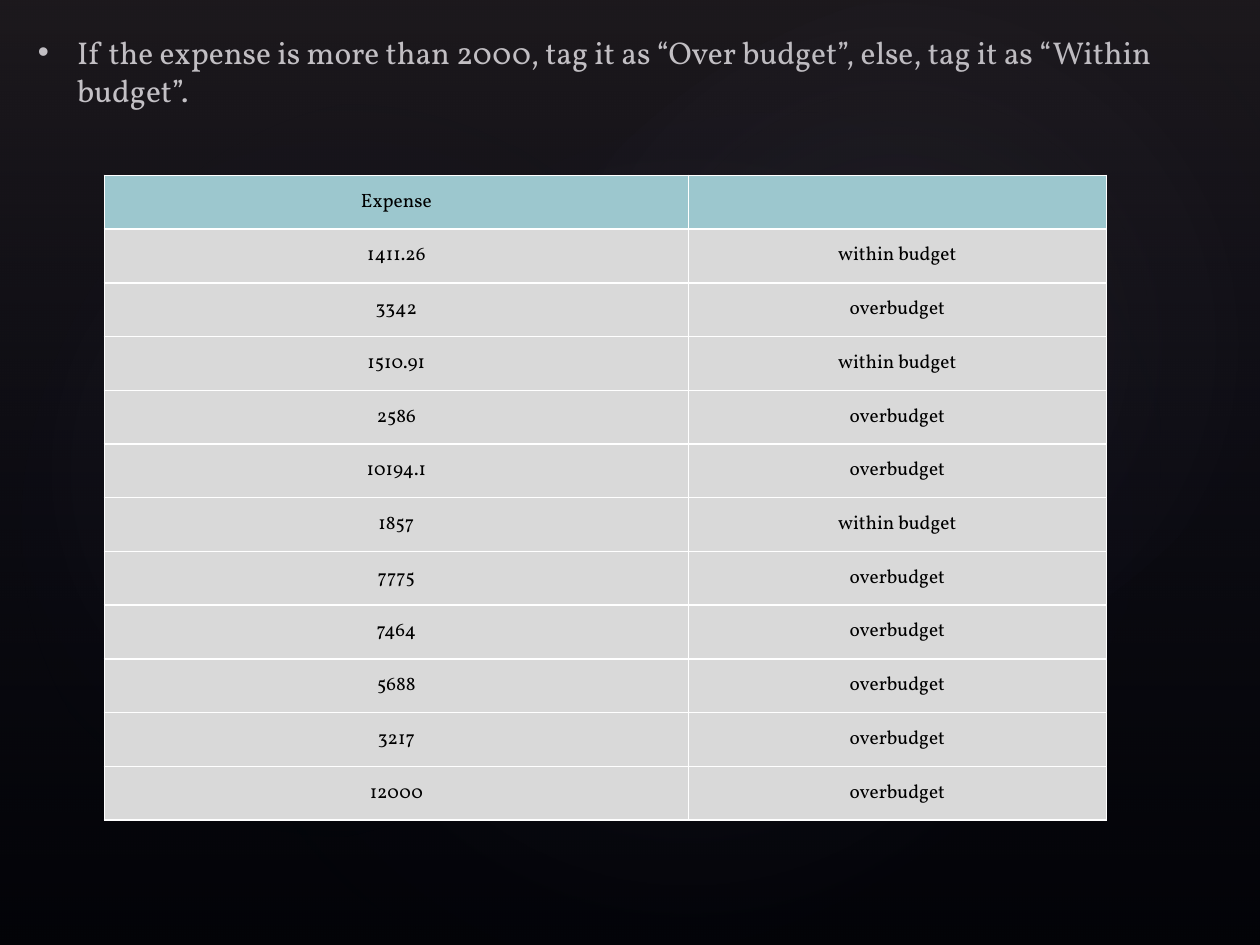
from pptx import Presentation
from pptx.dml.color import RGBColor
from pptx.enum.shapes import MSO_SHAPE
from pptx.enum.text import MSO_ANCHOR, PP_ALIGN
from pptx.oxml import parse_xml
from pptx.oxml.ns import nsdecls
from pptx.util import Pt

RECTANGLE, OVAL = MSO_SHAPE.RECTANGLE, MSO_SHAPE.OVAL
CENTER, MIDDLE, TOP = PP_ALIGN.CENTER, MSO_ANCHOR.MIDDLE, MSO_ANCHOR.TOP

COLORS = {
    "background": "000000", "haze": "504652", "navy": "242852", "glow": "C4BCC6",
    "header": "9CC7CE", "row": "D9D9D9", "border": "FFFFFF",
    "light_text": "FFFFFF", "dark_text": "000000",
}
RULE = ("If the expense is more than 2000, tag it as “Over budget”, "
        "else, tag it as “Within budget”.")
LIMIT = 2000
EXPENSES = ["1411.26", "3342", "1510.91", "2586", "10194.1", "1857",
            "7775", "7464", "5688", "3217", "12000"]
# left, top, width, height, rotation, opacity in percent
GLOWS = [
    (108, 82.1, 570.2, 449.3, 328.7, 7),
    (-21.6, 92.2, 436.3, 352.8, 294.3, 8),
    (257.8, 9.4, 510.5, 374.4, 328.7, 8),
]


def set_values(target, values):
    for name, value in values.items():
        setattr(target, name, value)


def gradient_xml(stops, direction):
    """Gradient fill from (position, color, opacity) stops, all in percent."""
    stop_xml = "".join(
        f'<a:gs pos="{position * 1000}"><a:srgbClr val="{COLORS[color]}">'
        f'<a:alpha val="{opacity * 1000}"/></a:srgbClr></a:gs>'
        for position, color, opacity in stops)
    return parse_xml(f'<a:gradFill {nsdecls("a")} rotWithShape="1">'
                     f'<a:gsLst>{stop_xml}</a:gsLst>{direction}</a:gradFill>')


class SlideBuilder:
    font_name = "Vollkorn"
    linear = '<a:lin ang="5400000" scaled="0"/>'
    radial = ('<a:path path="circle">'
              '<a:fillToRect l="50000" t="50000" r="50000" b="50000"/></a:path>')

    def __init__(self, slide):
        self.slide = slide
        fill = slide.background.fill
        fill.solid()
        fill.fore_color.rgb = RGBColor.from_string(COLORS["background"])

    def style_font(self, font, size, color):
        set_values(font, {"name": self.font_name, "size": Pt(size), "bold": False})
        font.color.rgb = RGBColor.from_string(COLORS[color])

    def gradient_shape(self, kind, frame, stops, direction, rotation=0):
        shape = self.slide.shapes.add_shape(kind, *map(Pt, frame))
        shape.rotation = rotation
        shape.shadow.inherit = False
        shape.line.fill.background()
        shape.fill.background()
        properties = shape.fill._xPr
        properties.replace(properties.find("{*}noFill"),
                           gradient_xml(stops, direction))

    def backdrop(self):
        self.gradient_shape(RECTANGLE, (0, 0, 720, 540),
                            [(0, "haze", 36), (100, "navy", 10)], self.linear)
        for *frame, rotation, opacity in GLOWS:
            self.gradient_shape(OVAL, frame, [(0, "glow", opacity), (58, "navy", 0)],
                                self.radial, rotation)

    def bullet(self, text, left, top, width, height):
        title, body = self.slide.placeholders
        title.element.getparent().remove(title.element)
        set_values(body, {"left": Pt(left), "top": Pt(top),
                          "width": Pt(width), "height": Pt(height)})
        frame = body.text_frame
        set_values(frame, {"text": text, "word_wrap": True, "vertical_anchor": TOP})
        para = frame.paragraphs[0]
        set_values(para, {"space_before": Pt(0), "space_after": Pt(0),
                          "line_spacing": 1.0})
        self.style_font(para.runs[0].font, 18, "light_text")
        properties = para._p.get_or_add_pPr()
        properties.set("marL", str(Pt(22.5)))
        properties.set("indent", str(Pt(-22.5)))
        for tag in (f'<a:buClr {nsdecls("a")}>'
                    f'<a:srgbClr val="{COLORS["light_text"]}"/></a:buClr>',
                    f'<a:buFont {nsdecls("a")} typeface="Arial"/>',
                    f'<a:buChar {nsdecls("a")} char="•"/>'):
            properties.append(parse_xml(tag))

    def cell(self, cell, text, fill):
        set_values(cell, {"text": text, "vertical_anchor": MIDDLE,
                          "margin_left": 0, "margin_right": 0,
                          "margin_top": 0, "margin_bottom": 0})
        para = cell.text_frame.paragraphs[0]
        para.alignment = CENTER
        self.style_font(para.font, 11, "dark_text")
        for run in para.runs:
            self.style_font(run.font, 11, "dark_text")
        cell.fill.solid()
        cell.fill.fore_color.rgb = RGBColor.from_string(COLORS[fill])
        properties = cell._tc.get_or_add_tcPr()
        for index, side in enumerate(("lnL", "lnR", "lnT", "lnB")):
            properties.insert(index, parse_xml(
                f'<a:{side} {nsdecls("a")} w="{Pt(1)}"><a:solidFill>'
                f'<a:srgbClr val="{COLORS["border"]}"/></a:solidFill></a:{side}>'))

    def table(self, rows, left, top, column_widths, row_height):
        table = self.slide.shapes.add_table(
            len(rows), len(column_widths), Pt(left), Pt(top),
            Pt(sum(column_widths)), Pt(row_height * len(rows))).table
        for column, width in zip(table.columns, column_widths):
            column.width = Pt(width)
        for row_index, texts in enumerate(rows):
            table.rows[row_index].height = Pt(row_height)
            for column_index, text in enumerate(texts):
                self.cell(table.cell(row_index, column_index), text,
                          "row" if row_index else "header")


def main():
    deck = Presentation()
    set_values(deck, {"slide_width": Pt(720), "slide_height": Pt(540)})
    page = SlideBuilder(deck.slides.add_slide(deck.slide_layouts[1]))
    page.backdrop()
    page.bullet(RULE, 14.4, 15.1, 680.4, 51)
    rows = [("Expense", "")]
    for expense in EXPENSES:
        over = float(expense) > LIMIT
        rows.append((expense, "overbudget" if over else "within budget"))
    page.table(rows, 59.6, 100.2, (333.8, 238.8), 30.7)
    deck.save("out.pptx")


if __name__ == "__main__":
    main()
